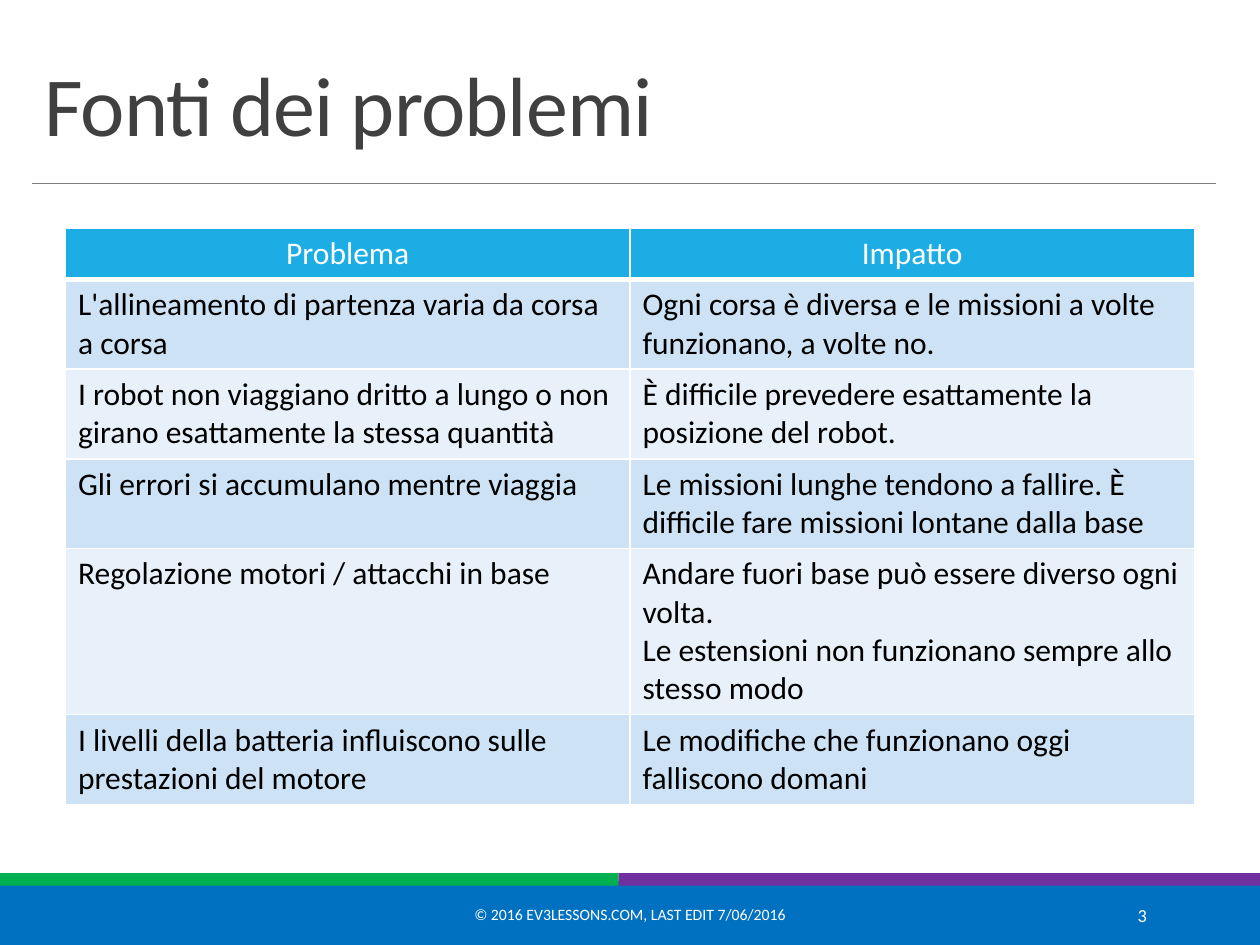
from lxml import etree
from pptx import Presentation
from pptx.dml.color import RGBColor
from pptx.enum import shapes, text
from pptx.oxml.ns import qn
from pptx.util import Inches, Pt

FONT = "Calibri"
WHITE = "FFFFFF"
HEADER_FILL = "1CADE4"
BAND_FILLS = ["CDE3F5", "E8F1FA"]
ROW_HEIGHT = 0.41

PROBLEMS = [
    ("Problema", "Impatto"),
    ("L'allineamento di partenza varia da corsa a corsa",
     "Ogni corsa è diversa e le missioni a volte funzionano, a volte no."),
    ("I robot non viaggiano dritto a lungo o non girano esattamente la stessa quantità",
     "È difficile prevedere esattamente la posizione del robot."),
    ("Gli errori si accumulano mentre viaggia",
     "Le missioni lunghe tendono a fallire. È difficile fare missioni lontane dalla base"),
    ("Regolazione motori / attacchi in base",
     "Andare fuori base può essere diverso ogni volta.\n"
     "Le estensioni non funzionano sempre allo stesso modo"),
    ("I livelli della batteria influiscono sulle prestazioni del motore",
     "Le modifiche che funzionano oggi falliscono domani"),
]


def color(hex_value):
    return RGBColor.from_string(hex_value)


def inches(*values):
    return [Inches(value) for value in values]


def write(frame, wording, size, hex_value, align):
    paragraph = frame.paragraphs[0]
    paragraph.text = wording
    paragraph.alignment = align
    for run in paragraph.runs:
        formats = {"name": FONT, "size": Pt(size), "bold": False}
        for attribute, value in formats.items():
            setattr(run.font, attribute, value)
        run.font.color.rgb = color(hex_value)
    return paragraph


def add_bar(slide, box, hex_value, line_width=None):
    bar = slide.shapes.add_shape(shapes.MSO_SHAPE.RECTANGLE, *inches(*box))
    bar.shadow.inherit = False
    bar.fill.solid()
    bar.fill.fore_color.rgb = color(hex_value)
    if line_width:
        bar.line.color.rgb = color(hex_value)
        bar.line.width = Pt(line_width)
    else:
        bar.line.fill.background()


def add_rule(slide, start, end):
    rule = slide.shapes.add_connector(
        shapes.MSO_CONNECTOR.STRAIGHT, *inches(*start, *end))
    rule.line.color.rgb = color("808080")
    rule.line.width = Pt(0.5)
    etree.SubElement(rule._element.spPr, qn("a:effectLst"))


def set_title(slide, wording):
    title = slide.shapes.title
    title.left, title.top, title.width, title.height = inches(0.25, 0.31, 9.4, 0.96)
    frame = title.text_frame
    frame.auto_size = text.MSO_AUTO_SIZE.NONE
    frame.vertical_anchor = text.MSO_ANCHOR.BOTTOM
    paragraph = write(frame, wording, 48, "404040", text.PP_ALIGN.LEFT)
    paragraph.line_spacing = 0.85
    paragraph.runs[0].font._element.set("spc", "-50")


def add_footer(slide, box, wording, size, align):
    frame = slide.shapes.add_textbox(*inches(*box)).text_frame
    frame.word_wrap = True
    frame.vertical_anchor = text.MSO_ANCHOR.MIDDLE
    write(frame, wording, size, WHITE, align)


def set_borders(cell, bottom_width):
    """Borders must precede the fill in the cell properties."""
    properties = cell._tc.get_or_add_tcPr()
    widths = {"lnL": 1, "lnR": 1, "lnT": 1, "lnB": bottom_width}
    for side, width in widths.items():
        line = etree.SubElement(properties, qn(f"a:{side}"), w=str(Pt(width)))
        fill = etree.SubElement(line, qn("a:solidFill"))
        etree.SubElement(fill, qn("a:srgbClr"), val=WHITE)


def add_problem_table(slide, box):
    frame = slide.shapes.add_table(len(PROBLEMS), 2, *inches(*box))
    table = frame.table
    for row_index, wordings in enumerate(PROBLEMS):
        table.rows[row_index].height = Inches(ROW_HEIGHT)
        is_header = row_index == 0
        fill = HEADER_FILL if is_header else BAND_FILLS[(row_index - 1) % 2]
        ink = WHITE if is_header else "000000"
        align = text.PP_ALIGN.CENTER if is_header else text.PP_ALIGN.LEFT
        for column_index, wording in enumerate(wordings):
            cell = table.cell(row_index, column_index)
            set_borders(cell, 3 if is_header else 1)
            cell.fill.solid()
            cell.fill.fore_color.rgb = color(fill)
            write(cell.text_frame, wording, 18, ink, align)
    frame.height = Inches(box[3])


def main():
    presentation = Presentation()
    presentation.slide_width, presentation.slide_height = inches(10, 7.5)
    slide = presentation.slides.add_slide(presentation.slide_layouts[5])

    add_bar(slide, (0, 7, 10, 0.5), "0070C0", 1.25)
    add_bar(slide, (0, 6.93, 4.91, 0.1), "00B050")
    add_rule(slide, (0.25, 1.46), (9.65, 1.46))
    add_bar(slide, (4.91, 6.93, 5.09, 0.1), "7030A0")
    set_title(slide, "Fonti dei problemi")
    add_problem_table(slide, (0.52, 1.81, 8.96, 4.51))
    add_footer(slide, (3.02, 7.06, 3.96, 0.4),
               "© 2016 EV3LESSONS.COM, LAST EDIT 7/06/2016", 9, text.PP_ALIGN.CENTER)
    add_footer(slide, (8.12, 7.06, 1.08, 0.4), "3", 10.5, text.PP_ALIGN.RIGHT)

    presentation.save("out.pptx")


if __name__ == "__main__":
    main()
